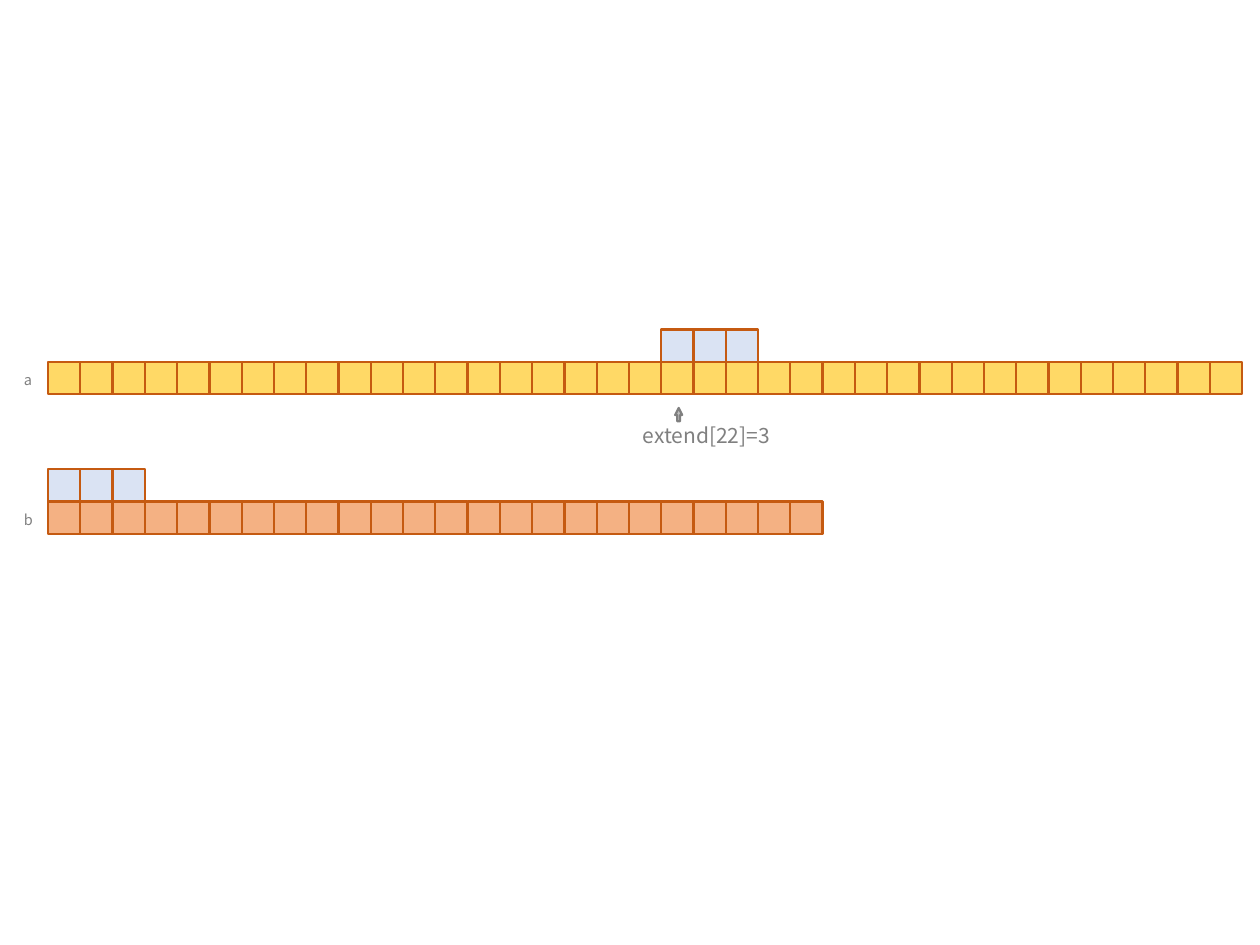
from pptx import Presentation
from pptx.dml.color import RGBColor
from pptx.enum.shapes import MSO_SHAPE
from pptx.util import Cm, Pt

RECTANGLE = MSO_SHAPE.RECTANGLE
RIGHT_ARROW = MSO_SHAPE.RIGHT_ARROW

FONT = "Noto Sans CJK SC"
GREY, BROWN = "808080", "C55A11"
MATCH_FILL = "DAE3F3"

# Lengths in cm
CELL = 0.51
ROW_LEFT = 0.76
LABEL_LEFT, LABEL_WIDTH, LABEL_DROP = 0.18, 3.91, 0.05

# Each string: name, top, cell count, fill, index of the first matching cell
STRINGS = [
    ("b", 7.93, 24, "F4B183", 0),
    ("a", 5.72, 37, "FFD966", 19),
]
MATCH_LENGTH = 3
EXTEND_TEXT = "extend[22]=3"


def color(hex_string):
    """Return the colour for a hex string."""
    return RGBColor.from_string(hex_string)


def add_filled_shape(kind, left, top, width, height, fill, line):
    """Add a preset shape with a plain fill and a 1 pt outline."""
    shape = slide.shapes.add_shape(kind, Cm(left), Cm(top), Cm(width), Cm(height))
    shape.shadow.inherit = False
    shape.fill.solid()
    shape.fill.fore_color.rgb = color(fill)
    shape.line.color.rgb = color(line)
    shape.line.width = Pt(1)
    return shape


def add_cells(first, count, top, fill):
    """Add a run of touching square cells, starting at column first."""
    for column in range(first, first + count):
        left = ROW_LEFT + column * CELL
        add_filled_shape(RECTANGLE, left, top, CELL, CELL, fill, BROWN)


def add_label(text, left, top, height, size):
    """Add a grey line of text."""
    box = slide.shapes.add_textbox(Cm(left), Cm(top), Cm(LABEL_WIDTH), Cm(height))
    frame = box.text_frame
    frame.word_wrap = True
    frame.margin_left = frame.margin_right = Cm(0.2)
    frame.margin_top = frame.margin_bottom = Cm(0.1)
    paragraph = frame.paragraphs[0]
    paragraph.text = text
    paragraph.font.name = FONT
    paragraph.font.size = Pt(size)
    paragraph.font.color.rgb = color(GREY)


presentation = Presentation()
presentation.slide_width, presentation.slide_height = Cm(19.91), Cm(14.94)
slide = presentation.slides.add_slide(presentation.slide_layouts[6])

for name, top, count, fill, match_start in STRINGS:
    add_cells(0, count, top, fill)
    add_cells(match_start, MATCH_LENGTH, top - CELL, MATCH_FILL)
    add_label(name, LABEL_LEFT, top + LABEL_DROP, 0.53, 6.5)

add_label(EXTEND_TEXT, 9.96, 6.58, 0.66, 9.4)
pointer = add_filled_shape(RIGHT_ARROW, 10.62, 6.5, 0.21, 0.11, "BFBFBF", GREY)
pointer.rotation = 270
pointer.adjustments[0] = 0.43
pointer.adjustments[1] = 1

presentation.save("out.pptx")
